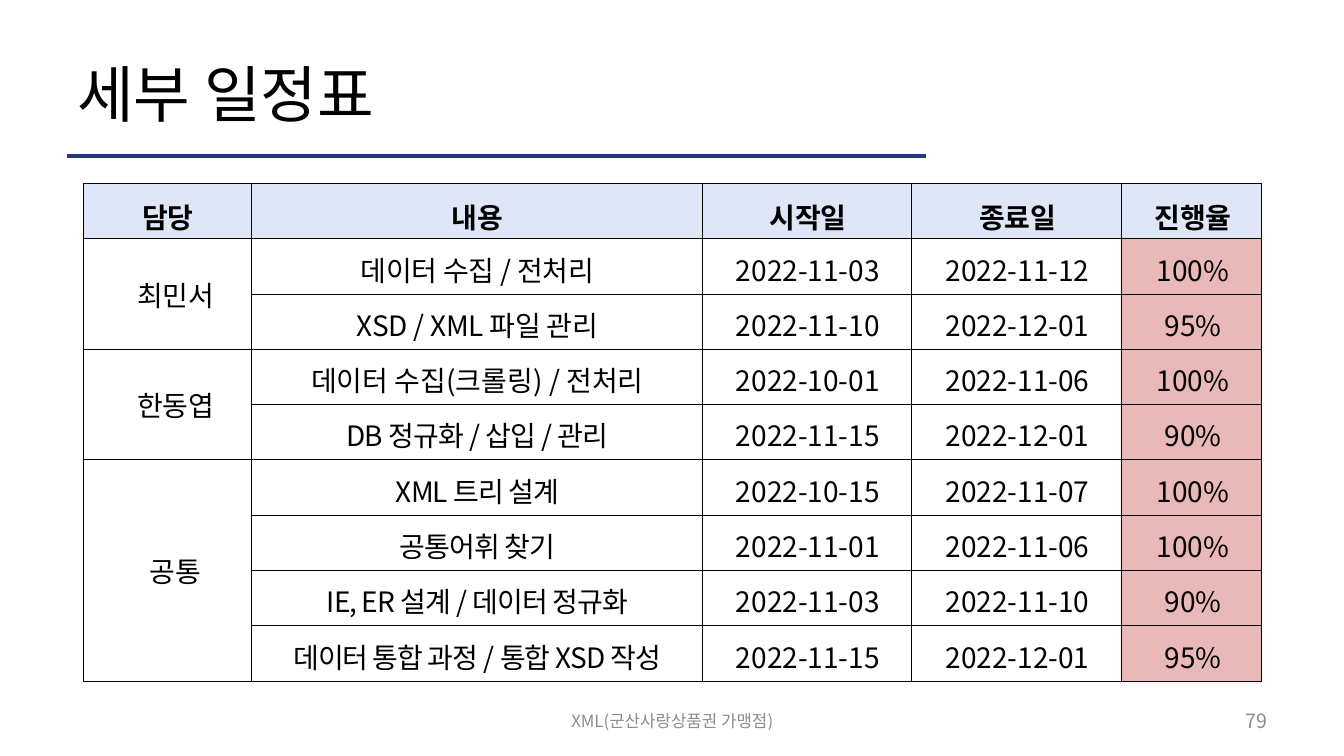
"""Build the detailed schedule slide with its table of tasks, dates and progress."""
from lxml.etree import SubElement
from pptx import Presentation
from pptx.dml.color import RGBColor
from pptx.enum.shapes import MSO_CONNECTOR
from pptx.enum.text import MSO_ANCHOR, PP_ALIGN
from pptx.oxml.ns import qn
from pptx.util import Pt

FONT = "Noto Sans CJK KR"
BLACK = RGBColor(0x00, 0x00, 0x00)
WHITE = RGBColor(0xFF, 0xFF, 0xFF)
GRAY = RGBColor(0x8C, 0x8C, 0x8C)
NAVY = RGBColor(0x20, 0x3A, 0x7B)
HEADER_BLUE = RGBColor(0xDF, 0xE6, 0xF7)
PROGRESS_PINK = RGBColor(0xE9, 0xB9, 0xB9)

HEADERS = ["담당", "내용", "시작일", "종료일", "진행율"]
TASKS = [
    ("최민서", "데이터 수집 / 전처리", "2022-11-03", "2022-11-12", "100%"),
    ("", "XSD / XML 파일 관리", "2022-11-10", "2022-12-01", "95%"),
    ("한동엽", "데이터 수집(크롤링) / 전처리", "2022-10-01", "2022-11-06", "100%"),
    ("", "DB 정규화 / 삽입 / 관리", "2022-11-15", "2022-12-01", "90%"),
    ("공통", "XML 트리 설계", "2022-10-15", "2022-11-07", "100%"),
    ("", "공통어휘 찾기", "2022-11-01", "2022-11-06", "100%"),
    ("", "IE, ER 설계 / 데이터 정규화", "2022-11-03", "2022-11-10", "90%"),
    ("", "데이터 통합 과정 / 통합 XSD 작성", "2022-11-15", "2022-12-01", "95%"),
]
TASK_TRACKING = [-20, -20, 0, -70, -70, -70, -70, -70]
OWNER_SPANS = [(1, 2), (3, 4), (5, 8)]
COLUMN_WIDTHS = [120, 321.7, 149.8, 149.8, 100]
COLUMN_INDENTS = [0, 0.72, 1.44, 1.44, 2.16]
OWNER_INDENT = 11.5
ROW_HEIGHT = 39.5


def style_paragraph(paragraph, size, color, align, bold=False, tracking=0, indent=0):
    paragraph.alignment = align
    font = paragraph.font
    font.size, font.bold, font.name = Pt(size), bold, FONT
    font.color.rgb = color
    properties = paragraph._p.get_or_add_pPr()
    properties.set("marL", str(Pt(indent)))
    run_defaults = properties.find(qn("a:defRPr"))
    run_defaults.set("spc", str(tracking))
    SubElement(run_defaults, qn("a:ea"), typeface=FONT)


def add_borders(cell):
    properties = cell._tc.get_or_add_tcPr()
    for side in ("a:lnL", "a:lnR", "a:lnT", "a:lnB"):
        border = SubElement(properties, qn(side), w=str(Pt(0.5)))
        fill = SubElement(border, qn("a:solidFill"))
        SubElement(fill, qn("a:srgbClr"), val=str(BLACK))


presentation = Presentation()
presentation.slide_width, presentation.slide_height = Pt(960), Pt(540)
slide = presentation.slides.add_slide(presentation.slide_layouts[6])

rule = slide.shapes.add_connector(
    MSO_CONNECTOR.STRAIGHT, Pt(48), Pt(111.6), Pt(661.7), Pt(111.6))
rule.line.color.rgb = NAVY
rule.line.width = Pt(3)
SubElement(rule._element.spPr, qn("a:effectLst"))

for text, left, top, width, height, size, color, align in [
    ("세부 일정표", 48, 21.6, 864, 90, 44, BLACK, PP_ALIGN.LEFT),
    ("XML(군산사랑상품권 가맹점)", 328.3, 500.4, 303.8, 28.8, 12, GRAY, PP_ALIGN.CENTER),
    ("79", 688.3, 500.4, 224, 28.8, 14, GRAY, PP_ALIGN.RIGHT),
]:
    frame = slide.shapes.add_textbox(Pt(left), Pt(top), Pt(width), Pt(height)).text_frame
    frame.word_wrap = True
    frame.vertical_anchor = MSO_ANCHOR.MIDDLE
    frame.text = text
    style_paragraph(frame.paragraphs[0], size, color, align)

rows = [HEADERS, *TASKS]
table = slide.shapes.add_table(
    len(rows), len(HEADERS), Pt(59.8), Pt(131),
    Pt(sum(COLUMN_WIDTHS)), Pt(ROW_HEIGHT * len(rows))).table
table.first_row = table.horz_banding = False
for column, width in zip(table.columns, COLUMN_WIDTHS):
    column.width = Pt(width)

for row_index, values in enumerate(rows):
    table.rows[row_index].height = Pt(ROW_HEIGHT)
    is_header = row_index == 0
    for column_index, value in enumerate(values):
        is_owner = column_index == 0 and not is_header
        cell = table.cell(row_index, column_index)
        add_borders(cell)
        cell.fill.solid()
        cell.fill.fore_color.rgb = (
            HEADER_BLUE if is_header else PROGRESS_PINK if column_index == 4 else WHITE)
        cell.vertical_anchor = MSO_ANCHOR.MIDDLE
        cell.margin_left = cell.margin_right = cell.margin_bottom = 0
        cell.margin_top = Pt(7.2 if is_header else 0 if is_owner else 3.6)
        cell.text = value
        tracking = -20 if is_header else TASK_TRACKING[row_index - 1] if column_index == 1 else 0
        indent = OWNER_INDENT if is_owner else COLUMN_INDENTS[column_index]
        style_paragraph(cell.text_frame.paragraphs[0], 20, BLACK, PP_ALIGN.CENTER,
                        is_header, tracking, indent)

for first_row, last_row in OWNER_SPANS:
    table.cell(first_row, 0).merge(table.cell(last_row, 0))

presentation.save("out.pptx")
